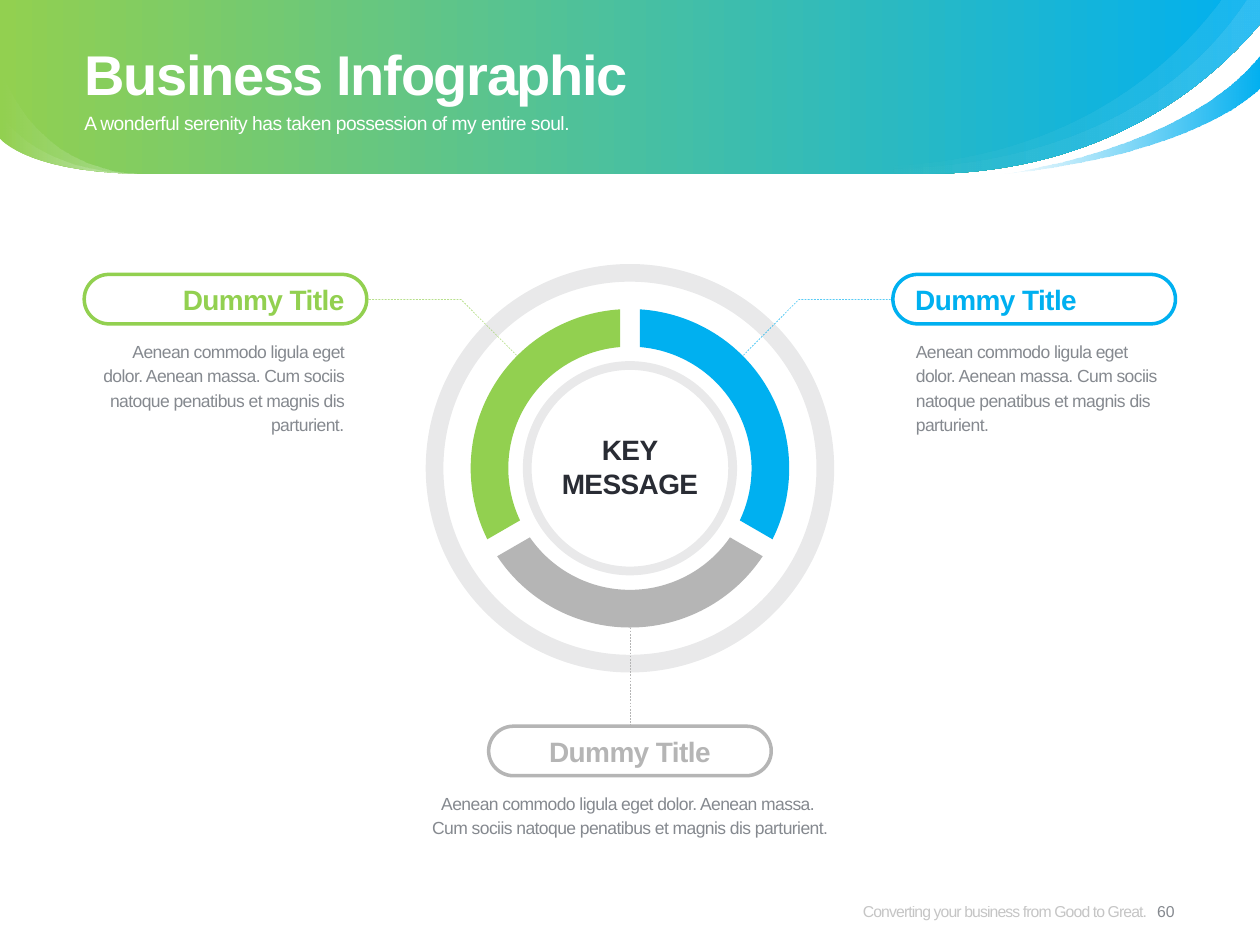
from dataclasses import dataclass
from math import asin, cos, radians, sin, tan

from lxml.etree import SubElement
from pptx import Presentation
from pptx.dml.color import RGBColor
from pptx.enum.dml import MSO_LINE
from pptx.enum.shapes import MSO_CONNECTOR, MSO_SHAPE
from pptx.enum.text import MSO_ANCHOR as Anchor, PP_ALIGN as Align
from pptx.oxml.ns import qn
from pptx.util import Pt

GREEN = RGBColor(0x92, 0xD0, 0x50)
BLUE = RGBColor(0x00, 0xB0, 0xF0)
SILVER = RGBColor(0xB5, 0xB5, 0xB5)
DARK = RGBColor(0x29, 0x2C, 0x34)
SLATE = RGBColor(0x85, 0x89, 0x8F)
GRAY = RGBColor(0x8C, 0x8C, 0x8C)
WHITE = RGBColor(0xFF, 0xFF, 0xFF)

WIDTH, HEIGHT = 720, 540
CENTER_X, CENTER_Y = 360, 267.6
OUTER_RADIUS, INNER_RADIUS, HALF_GAP = 91, 69.5, 5.6
PILL_WIDTH, PILL_HEIGHT = 161.5, 28.3
HEADER_BOTTOM = 99.36

Point = tuple[float, float]
Box = tuple[float, float, float, float]
Piece = tuple[Point, ...]  # one point: a line; three points: a Bezier curve


@dataclass
class Style:
    size: float
    color: RGBColor
    bold: bool = False
    tracking: float = -0.3
    align: Align = Align.LEFT
    anchor: Anchor = Anchor.TOP
    leading: float | None = None


@dataclass
class Gradient:
    origin: Point
    pieces: list[Piece]
    colors: tuple[RGBColor, RGBColor]
    opacity: tuple[int, int] = (100, 100)
    start: int = 0


@dataclass
class Segment:
    color: RGBColor
    start: int


@dataclass
class Callout:
    color: RGBColor
    align: Align
    pill: Point
    title: Box
    body: Box
    lines: list[str]


def set_opacity(shape, *percents: int):
    """Apply one opacity to each RGB colour of the shape, in order."""
    for color, percent in zip(shape._element.iter(qn("a:srgbClr")), percents):
        if percent < 100:
            SubElement(color, qn("a:alpha"), val=str(percent * 1000))


def add_outline(page, origin: Point, pieces: list[Piece], closed: bool = True):
    builder = page.shapes.build_freeform(*map(Pt, origin))
    builder.add_line_segments([(Pt(x), Pt(y)) for piece in pieces for x, y in piece], close=closed)
    shape = builder.convert_to_shape()
    shape.shadow.inherit = False
    shape.line.fill.background()
    steps = iter(list(shape._element.iter(qn("a:lnTo"))))
    for piece in pieces:
        head, *others = [next(steps) for _ in piece]
        if others:
            head.tag = qn("a:cubicBezTo")
        for other in others:
            head.append(other[0])
            other.getparent().remove(other)
    return shape


def add_gradient(page, part: Gradient):
    shape = add_outline(page, part.origin, part.pieces)
    shape.fill.gradient()
    shape.fill.gradient_angle = 0
    for stop, color, position in zip(shape.fill.gradient_stops, part.colors, (part.start, 100)):
        stop.color.rgb = color
        stop.position = position / 100
    set_opacity(shape, *part.opacity)


def write(box, lines: list[str], style: Style):
    frame = box.text_frame
    frame_format = dict(word_wrap=True, vertical_anchor=style.anchor, margin_left=0,
                        margin_right=0, margin_top=0, margin_bottom=0)
    for name, value in frame_format.items():
        setattr(frame, name, value)
    for index, line in enumerate(lines):
        para = frame.add_paragraph() if index else frame.paragraphs[0]
        para.alignment = style.align
        if style.leading:
            para.line_spacing = Pt(style.leading)
        span = para.add_run()
        span.text = line
        for name, value in dict(name="Arial", size=Pt(style.size), bold=style.bold).items():
            setattr(span.font, name, value)
        span.font.color.rgb = style.color
        span.font._element.set("spc", str(round(style.tracking * 100)))


def add_text(page, place: Box, lines: list[str], style: Style):
    box = page.shapes.add_textbox(*map(Pt, place))
    write(box, lines, style)
    return box


def add_ring(page, radius: float, thickness: float):
    place = (CENTER_X - radius, CENTER_Y - radius, 2 * radius, 2 * radius)
    ring = page.shapes.add_shape(MSO_SHAPE.DONUT, *map(Pt, place))
    ring.adjustments[0] = thickness / (2 * radius)
    ring.shadow.inherit = False
    ring.fill.solid()
    ring.fill.fore_color.rgb = DARK
    ring.line.fill.background()
    set_opacity(ring, 10)


def arc(radius: float, begin: float, end: float) -> tuple[Point, list[Piece]]:
    """Give the first point of a circular arc and the two curves that follow."""
    half = (end - begin) / 2
    pull = 4 / 3 * tan(half / 4)

    def at(angle: float, along: float = 0) -> Point:
        return (CENTER_X + radius * (cos(angle) - along * sin(angle)),
                CENTER_Y + radius * (sin(angle) + along * cos(angle)))

    pieces = [(at(a, pull), at(a + half, -pull), at(a + half)) for a in (begin, begin + half)]
    return at(begin), pieces


def add_segment(page, segment: Segment):
    """Draw a third of the wheel, with parallel-sided gaps at its ends."""
    begin, end = radians(segment.start), radians(segment.start + 120)
    outer_inset, inner_inset = asin(HALF_GAP / OUTER_RADIUS), asin(HALF_GAP / INNER_RADIUS)
    origin, outer = arc(OUTER_RADIUS, begin + outer_inset, end - outer_inset)
    corner, inner = arc(INNER_RADIUS, end - inner_inset, begin + inner_inset)
    shape = add_outline(page, origin, [*outer, (corner,), *inner])
    shape.fill.solid()
    shape.fill.fore_color.rgb = segment.color


def format_leader(line, color: RGBColor):
    line.color.rgb = color
    line.width = Pt(0.25)
    line.dash_style = MSO_LINE.DASH


def add_elbow(page, side: int, color: RGBColor):
    origin, bend, end = [(CENTER_X + side * x, y) for x, y in ((64.8, 203), (96.5, 171.2), (149, 171.2))]
    leader = add_outline(page, origin, [(bend,), (end,)], closed=False)
    leader.fill.background()
    format_leader(leader.line, color)


def add_drop(page):
    ends = (CENTER_X, CENTER_Y + OUTER_RADIUS, CENTER_X, 415)
    leader = page.shapes.add_connector(MSO_CONNECTOR.STRAIGHT, *map(Pt, ends))
    SubElement(leader._element.spPr, qn("a:effectLst"))
    format_leader(leader.line, SILVER)


def add_callout(page, callout: Callout):
    add_text(page, callout.body, callout.lines, Style(10, SLATE, align=callout.align, leading=14))
    add_text(page, callout.title, ["Dummy Title"],
             Style(16, callout.color, bold=True, align=callout.align))
    place = (*callout.pill, PILL_WIDTH, PILL_HEIGHT)
    pill = page.shapes.add_shape(MSO_SHAPE.ROUNDED_RECTANGLE, *map(Pt, place))
    pill.adjustments[0] = 0.5
    pill.shadow.inherit = False
    pill.fill.background()
    pill.line.color.rgb = callout.color
    pill.line.width = Pt(2)


def header_parts() -> list[Gradient]:
    left_foot, swoosh_tip, shine_tip = (82, HEADER_BOTTOM), (571.7, HEADER_BOTTOM), (468.7, 94.3)
    right_edge = [((WIDTH, 0),), ((WIDTH, 13.7),),
                  ((676.8, 64.8), (612, HEADER_BOTTOM), (528, HEADER_BOTTOM))]
    left_edge = ((15.1, 98.6), (0, 79.2), (0, 79.2))
    swoosh = [(swoosh_tip, (676.8, 86.4), (WIDTH, 31)), ((WIDTH, 49.7),),
              ((WIDTH, 49.7), (686.9, 87.8), swoosh_tip)]
    whites = (WHITE, WHITE)

    def right_shine(top: Piece) -> Gradient:
        closing = [((522, HEADER_BOTTOM),), ((491.8, HEADER_BOTTOM), (470, 94.5), shine_tip)]
        return Gradient(shine_tip, [top, *right_edge, *closing], whites, (0, 10), 15)

    def left_shine(top: float, bend: float) -> Gradient:
        upper = [((0, top),), ((0, top), (15.1, bend), left_foot)]
        return Gradient(left_foot, [left_edge, *upper], whites, (0, 30))

    return [Gradient((0, 0), [*right_edge, (left_foot,), left_edge], (GREEN, BLUE)),
            Gradient(swoosh_tip, swoosh, (BLUE, BLUE), (0, 100)),
            right_shine(((599, 103), (666.7, 41.8), (697.7, 0))),
            left_shine(64.1, 98), left_shine(38.2, 97.2),
            right_shine(((473.8, 95), (635, 116.6), (712, 0)))]


def main():
    deck = Presentation()
    deck.slide_width, deck.slide_height = Pt(WIDTH), Pt(HEIGHT)
    page = deck.slides.add_slide(deck.slide_layouts[5])
    for part in header_parts():
        add_gradient(page, part)

    add_ring(page, 61.2, 5)
    add_ring(page, 116.7, 10.1)
    add_elbow(page, -1, GREEN)
    add_elbow(page, 1, BLUE)
    for segment in (Segment(SILVER, 30), Segment(GREEN, 150), Segment(BLUE, 270)):
        add_segment(page, segment)
    add_drop(page)

    title = page.shapes.title
    title._element.getparent().append(title._element)
    for name, value in dict(left=48.3, top=16.6, width=623.5, height=46.8).items():
        setattr(title, name, Pt(value))
    write(title, ["Business Infographic"], Style(32, WHITE, True, -0.8, anchor=Anchor.MIDDLE, leading=42))
    footer = add_text(page, (435.2, 501.4, 220, 38.6), ["Converting your business from Good to Great."],
                      Style(9, GRAY, tracking=-0.5, align=Align.RIGHT, anchor=Anchor.MIDDLE))
    set_opacity(footer, 50)
    add_text(page, (649.4, 501.4, 33.8, 38.6), ["60"],
             Style(9, SLATE, tracking=0, align=Align.CENTER, anchor=Anchor.MIDDLE))
    add_text(page, (48.2, 63.4, 623.5, 28), ["A wonderful serenity has taken possession of my entire soul."],
             Style(11, WHITE))

    opening = "Aenean commodo ligula eget dolor. Aenean massa. "
    closing = "Cum sociis natoque penatibus et magnis dis parturient."
    whole = [opening + closing]
    callouts = [
        Callout(SILVER, Align.CENTER, (279.2, 415), (289.2, 420, 141.6, 19.4),
                (232.5, 451.1, 255, 28), [opening, closing]),
        Callout(GREEN, Align.RIGHT, (48.1, 156.8), (63.6, 161.6, 133.2, 19.4),
                (57.6, 192.8, 139, 57), whole),
        Callout(BLUE, Align.LEFT, (510.2, 156.8), (523, 161.6, 133.2, 19.4),
                (523.4, 192.8, 139, 57), whole),
    ]
    for callout in callouts:
        add_callout(page, callout)
    add_text(page, (293.4, 247.4, 133.2, 38.8), ["KEY", "MESSAGE"],
             Style(16, DARK, bold=True, align=Align.CENTER))
    deck.save("out.pptx")


if __name__ == "__main__":
    main()
